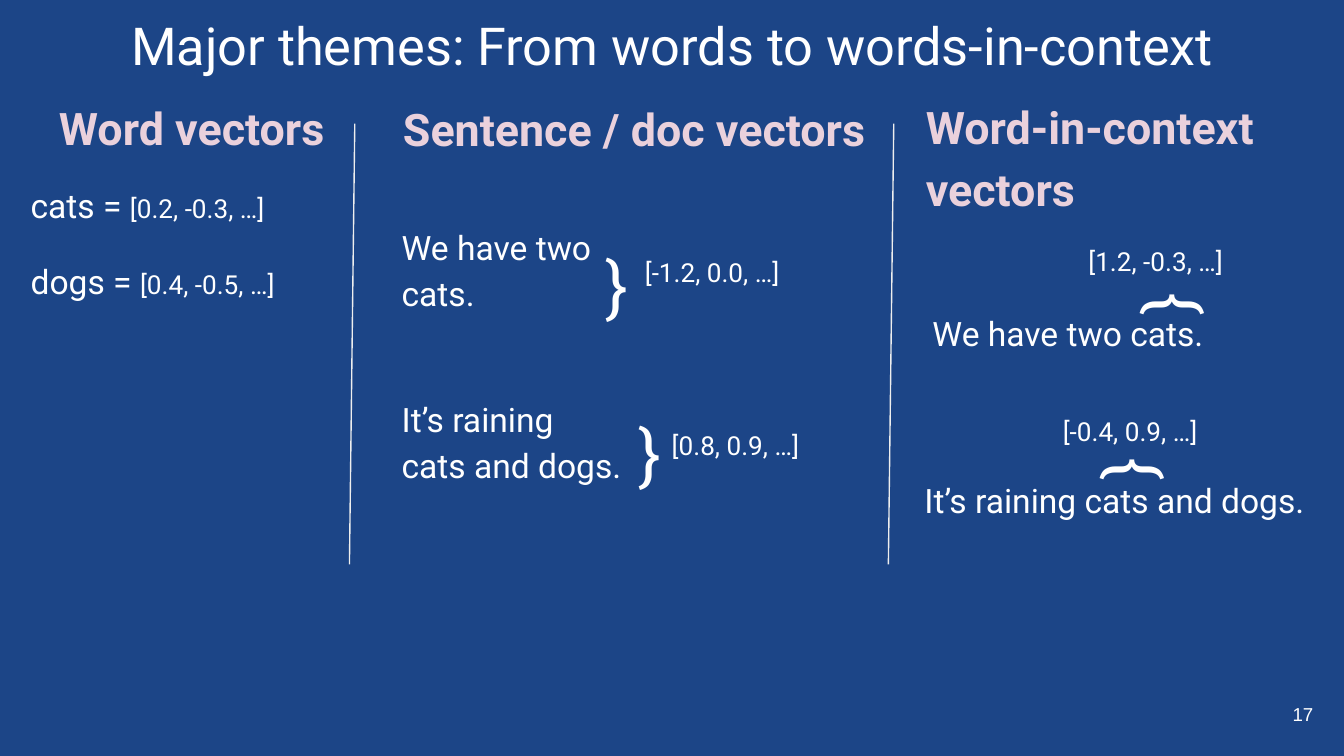
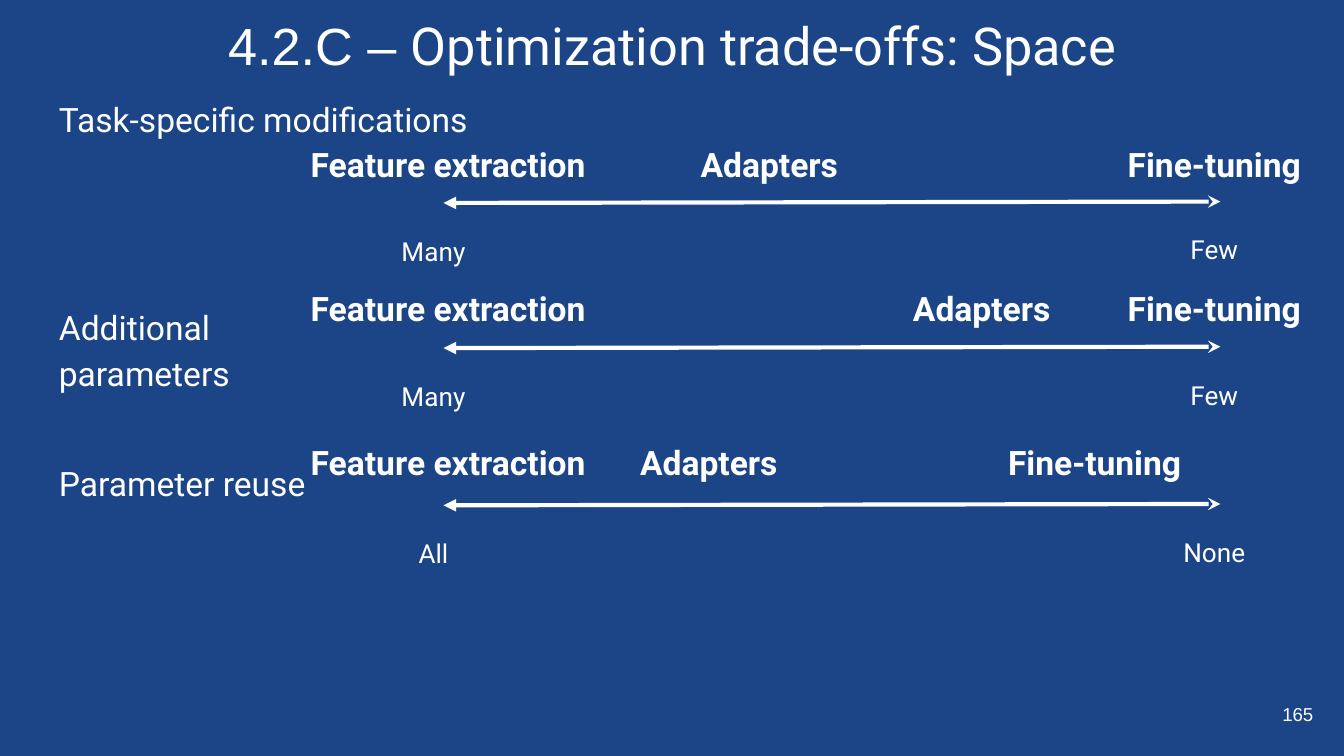
from typing import NamedTuple

from lxml import etree
from pptx import Presentation
from pptx.dml.color import RGBColor
from pptx.enum.shapes import MSO_CONNECTOR
from pptx.enum.text import MSO_ANCHOR, MSO_AUTO_SIZE, PP_ALIGN
from pptx.oxml.ns import qn
from pptx.util import Inches, Pt

LEFT, CENTER, RIGHT = PP_ALIGN.LEFT, PP_ALIGN.CENTER, PP_ALIGN.RIGHT
TOP, MIDDLE = MSO_ANCHOR.TOP, MSO_ANCHOR.MIDDLE
NO_FIT = MSO_AUTO_SIZE.NONE
STRAIGHT = MSO_CONNECTOR.STRAIGHT

SLIDE_WIDTH = Inches(10)
SLIDE_HEIGHT = SLIDE_WIDTH * 9 // 16

NAVY, WHITE, PINK, PALE_GRAY = "1C4587", "FFFFFF", "EAD1DC", "EEEEEE"
BODY_FONT, PLAIN_FONT = "Roboto", "Arial"
TITLE_SIZE, HEADING_SIZE, BODY_SIZE, SMALL_SIZE = 28, 24, 18, 14
BODY_SPACING = 1.15


class Box(NamedTuple):
    left: float
    top: float
    width: float
    height: float


class Run(NamedTuple):
    text: str
    size: float
    font: str = BODY_FONT


class Label(NamedTuple):
    text: str
    box: Box
    size: float = BODY_SIZE
    color: str = WHITE
    bold: bool = False
    rotation: float = 0


class Scale(NamedTuple):
    """One trade-off: a topic, its arrow and the methods placed along it."""
    topic: str
    topic_box: Box
    label_top: float
    axis_top: float
    adapters_left: float
    tuning_left: float
    left_end: str
    right_end: str


TITLE_BOX = Box(0.34, 0, 9.32, 0.63)
NUMBER_BOX = Box(9.27, 5.1, 0.6, 0.43)

HEADINGS = [
    Label("Word vectors", Box(0.34, 0.59, 2.26, 0.63), HEADING_SIZE, PINK, True),
    Label("Sentence / doc vectors", Box(2.9, 0.6, 3.72, 1.33), HEADING_SIZE, PINK, True),
    Label("Word-in-context vectors", Box(6.79, 0.58, 2.98, 0.72), HEADING_SIZE, PINK, True),
]
SENTENCES = [
    Label("We have two cats.", Box(2.89, 1.54, 1.68, 0.92)),
    Label("It’s raining cats and dogs.", Box(2.89, 2.82, 1.85, 0.92)),
    Label("We have two cats.", Box(6.84, 2.18, 2.7, 0.92)),
    Label("It’s raining cats and dogs.", Box(6.78, 3.43, 3.11, 0.63)),
]
VECTORS = [
    Label("[-1.2, 0.0, …]", Box(4.7, 1.77, 1.24, 0.63), SMALL_SIZE),
    Label("[0.8, 0.9, …]", Box(4.9, 3.06, 1.34, 0.63), SMALL_SIZE),
    Label("[1.2, -0.3, …]", Box(8, 1.69, 1.3, 0.63), SMALL_SIZE),
    Label("[-0.4, 0.9, …]", Box(7.81, 2.96, 1.3, 0.63), SMALL_SIZE),
]
BRACES = [
    Label("}", Box(left, top, 0.43, 0.92), 36, rotation=rotation)
    for left, top, rotation in [
        (4.41, 1.62, 0), (4.65, 2.87, 0), (8.43, 1.77, 270), (8.13, 3, 270)
    ]
]
WORD_VECTORS = [("cats = ", "[0.2, -0.3, …]"), ("dogs = ", "[0.4, -0.5, …]")]
DIVIDER_LEFTS = [2.6, 6.61]

AXIS_LEFT, AXIS_RIGHT = 3.3, 9.08
SCALES = [
    Scale("Task-specific modifications", Box(0.34, 0.59, 9.32, 3.74),
          0.97, 1.51, 4.56, 7.87, "Many", "Few"),
    Scale("Additional parameters", Box(0.34, 2.14, 2.2, 0.9),
          2.04, 2.59, 6.14, 7.87, "Many", "Few"),
    Scale("Parameter reuse", Box(0.34, 3.3, 2.2, 0.9),
          3.19, 3.76, 4.11, 6.98, "All", "None"),
]


def rgb(color: str) -> RGBColor:
    return RGBColor.from_string(color)


def write_text(shape, *paragraphs: list[Run], color: str = WHITE, bold: bool = False,
               align=LEFT, anchor=TOP, spacing: float = 1, gap: float = 0) -> None:
    """Fill a shape with paragraphs, parted by a gap in points."""
    frame = shape.text_frame
    frame.word_wrap = True
    frame.auto_size = NO_FIT
    frame.vertical_anchor = anchor
    frame.margin_left = frame.margin_right = Inches(0.1)
    frame.margin_top = frame.margin_bottom = Inches(0.1)
    for index, runs in enumerate(paragraphs):
        paragraph = frame.add_paragraph() if index else frame.paragraphs[0]
        paragraph.alignment = align
        paragraph.line_spacing = spacing
        paragraph.space_before = Pt(gap if index else 0)
        for text, size, font in runs:
            run = paragraph.add_run()
            run.text = text
            run.font.name = font
            run.font.size = Pt(size)
            run.font.bold = bold
            run.font.color.rgb = rgb(color)


def add_text(slide, box: Box, *paragraphs: list[Run], rotation: float = 0, **style) -> None:
    shape = slide.shapes.add_textbox(*map(Inches, box))
    shape.rotation = rotation
    write_text(shape, *paragraphs, **style)


def add_label(slide, label: Label, **style) -> None:
    add_text(slide, label.box, [Run(label.text, label.size)], color=label.color,
             bold=label.bold, rotation=label.rotation, **style)


def add_line(slide, start: tuple[float, float], end: tuple[float, float],
             color: str, width: float, arrows: dict[str, str] | None = None) -> None:
    """Draw a line; arrows maps headEnd or tailEnd to an arrowhead type."""
    connector = slide.shapes.add_connector(STRAIGHT, *map(Inches, start + end))
    connector.line.color.rgb = rgb(color)
    connector.line.width = Pt(width)
    properties = connector.line._get_or_add_ln()
    for tag, kind in (arrows or {}).items():
        etree.SubElement(properties, qn(f"a:{tag}"), type=kind)
    etree.SubElement(connector._element.spPr, qn("a:effectLst"))


def add_titled_slide(presentation, title: list[Run], number: int):
    slide = presentation.slides.add_slide(presentation.slide_layouts[5])
    slide.background.fill.solid()
    slide.background.fill.fore_color.rgb = rgb(NAVY)
    placeholder = slide.shapes.title
    placeholder.left, placeholder.top, placeholder.width, placeholder.height = map(
        Inches, TITLE_BOX)
    write_text(placeholder, title, align=CENTER)
    add_text(slide, NUMBER_BOX, [Run(str(number), 10, PLAIN_FONT)],
             align=RIGHT, anchor=MIDDLE)
    return slide


def build_themes_slide(presentation) -> None:
    title = [Run("Major themes: From words to words-in-context", TITLE_SIZE)]
    slide = add_titled_slide(presentation, title, 17)
    for label in HEADINGS + SENTENCES + VECTORS + BRACES:
        add_label(slide, label, spacing=BODY_SPACING)
    paragraphs = [[Run(word, BODY_SIZE), Run(vector, SMALL_SIZE)]
                  for word, vector in WORD_VECTORS]
    add_text(slide, Box(0.13, 1.23, 2.33, 3.28), *paragraphs,
             spacing=BODY_SPACING, gap=16)
    for left in DIVIDER_LEFTS:
        add_line(slide, (left, 4.2), (left + 0.04, 0.92), PALE_GRAY, 0.75)


def add_scale(slide, scale: Scale) -> None:
    add_label(slide, Label(scale.topic, scale.topic_box), spacing=BODY_SPACING)
    add_line(slide, (AXIS_LEFT, scale.axis_top), (AXIS_RIGHT, scale.axis_top - 0.01),
             WHITE, 2.25, {"headEnd": "triangle", "tailEnd": "stealth"})
    for text, left in [("Feature extraction", 2.17), ("Adapters", scale.adapters_left),
                       ("Fine-tuning", scale.tuning_left)]:
        box = Box(left, scale.label_top, 2.33, 0.44)
        add_label(slide, Label(text, box, bold=True), align=CENTER)
    for text, left, offset in [(scale.left_end, 2.35, 0.14), (scale.right_end, 8.16, 0.13)]:
        box = Box(left, scale.axis_top + offset, 1.75, 0.44)
        add_label(slide, Label(text, box, SMALL_SIZE), align=CENTER)


def build_space_slide(presentation) -> None:
    title = [Run("4.2.C – ", TITLE_SIZE, PLAIN_FONT),
             Run("Optimization trade-offs: Space", TITLE_SIZE)]
    slide = add_titled_slide(presentation, title, 165)
    for scale in SCALES:
        add_scale(slide, scale)


def main() -> None:
    presentation = Presentation()
    presentation.slide_width = SLIDE_WIDTH
    presentation.slide_height = SLIDE_HEIGHT
    build_themes_slide(presentation)
    build_space_slide(presentation)
    presentation.save("out.pptx")


if __name__ == "__main__":
    main()
